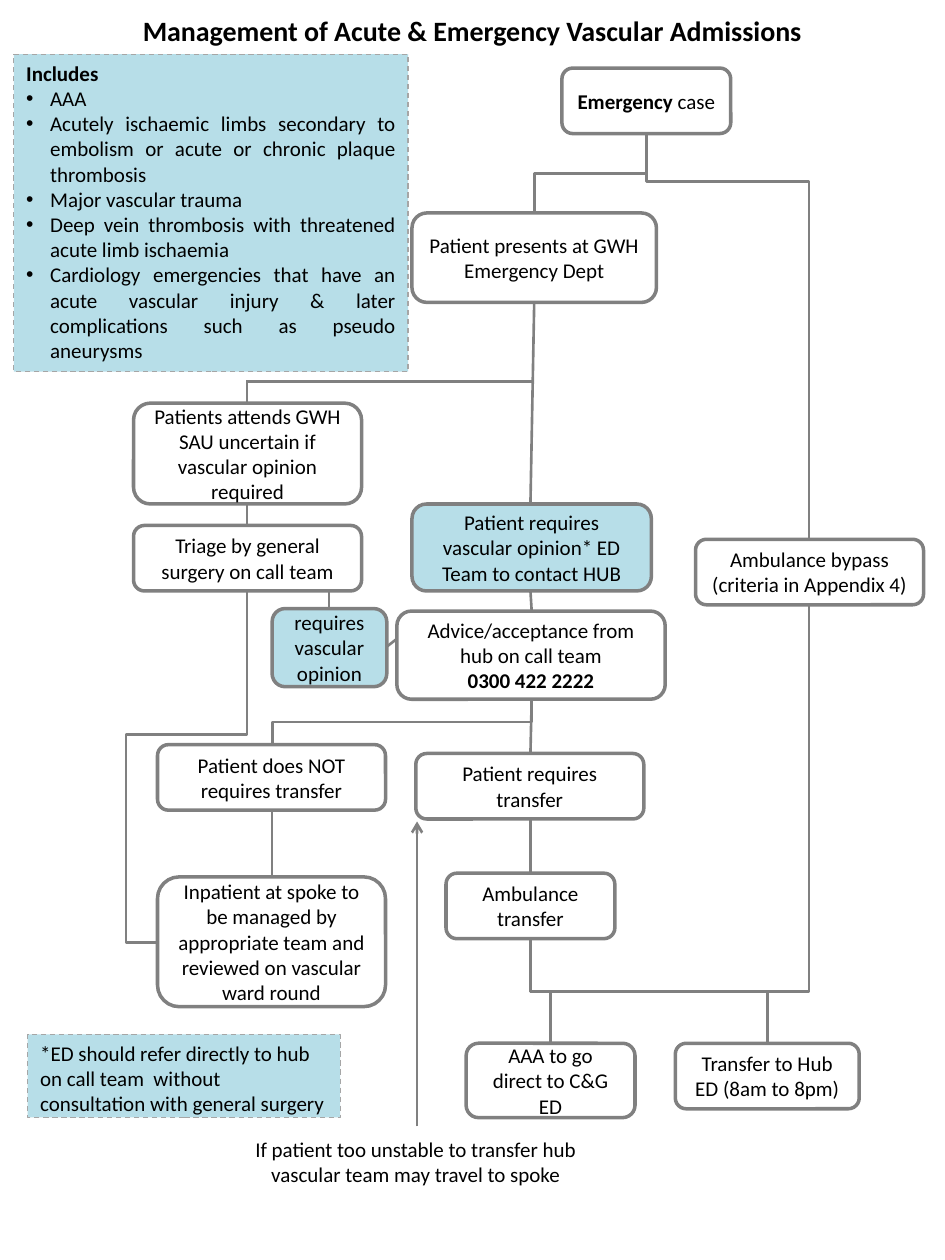
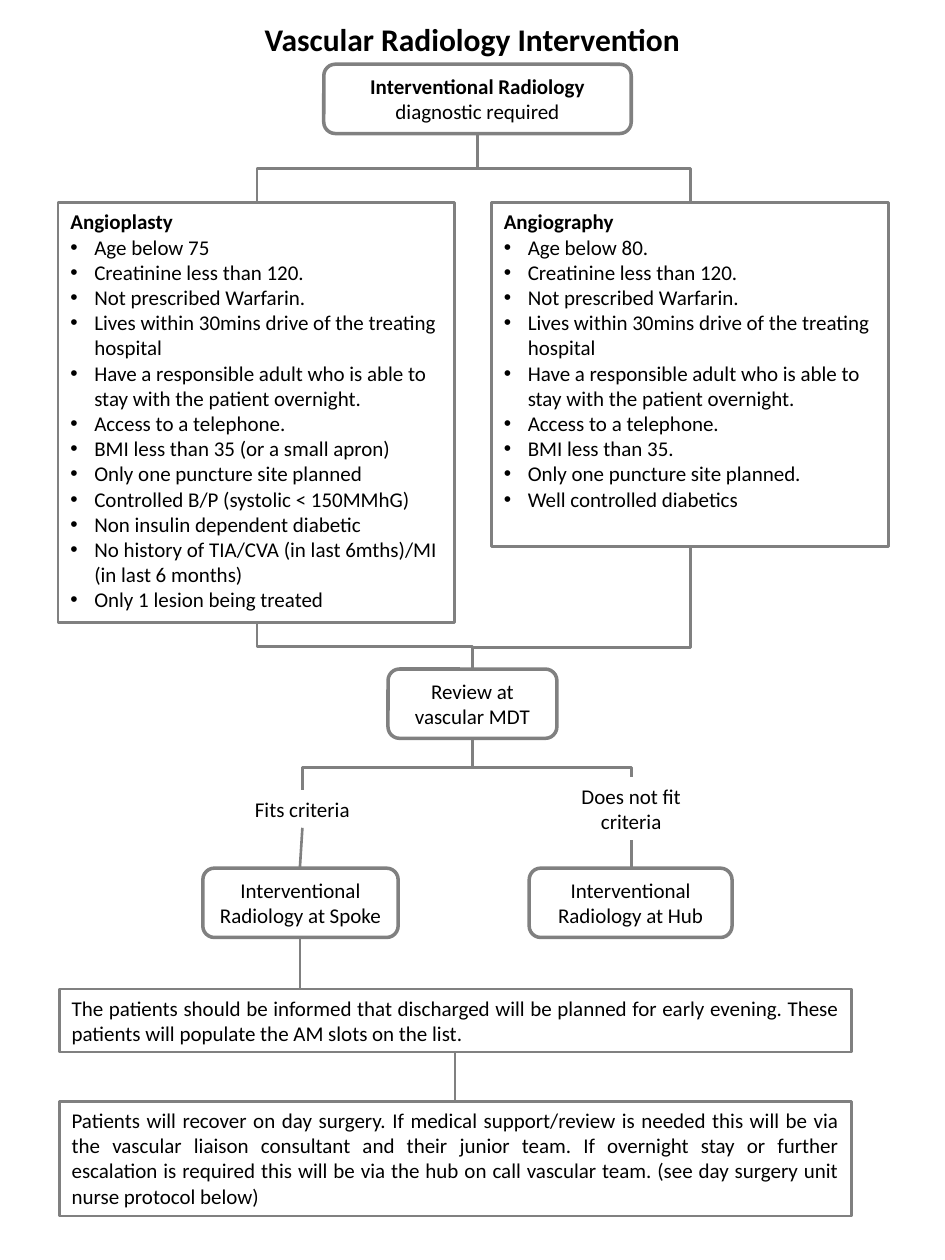
from pptx import Presentation
from pptx.dml.color import RGBColor
from pptx.enum.dml import MSO_LINE
from pptx.enum.shapes import MSO_CONNECTOR, MSO_SHAPE
from pptx.enum.text import MSO_ANCHOR, MSO_AUTO_SIZE, PP_ALIGN
from pptx.oxml.ns import qn
from pptx.util import Inches, Pt
from lxml.etree import SubElement

GREY, PALE, EDGE, BLACK = "808080", "B7DEE8", "A6A6A6", "000000"
LEFT, CENTER, JUSTIFY = PP_ALIGN.LEFT, PP_ALIGN.CENTER, PP_ALIGN.JUSTIFY


def color(value):
    return RGBColor.from_string(value)


class Flowchart:
    font = "Calibri"
    size = 12
    box_line = 2
    thin_line = 1.5

    def __init__(self, prs):
        self.prs = prs
        self.s = None

    def new_slide(self):
        self.s = self.prs.slides.add_slide(self.prs.slide_layouts[6])

    def put_text(self, sp, paragraphs, align, size=None, bullets=False, anchor=MSO_ANCHOR.TOP):
        tf = sp.text_frame
        tf.word_wrap = True
        tf.vertical_anchor = anchor
        for i, runs in enumerate(paragraphs):
            p = tf.paragraphs[0] if i == 0 else tf.add_paragraph()
            p.alignment = align
            if bullets and i:
                pPr = p._p.get_or_add_pPr()
                pPr.set("marL", str(Inches(0.19)))
                pPr.set("indent", str(-Inches(0.19)))
                SubElement(pPr, qn("a:buFont")).set("typeface", "Arial")
                SubElement(pPr, qn("a:buChar")).set("char", "•")
            for text, bold in runs:
                r = p.add_run()
                r.text = text
                r.font.name = self.font
                r.font.size = Pt(size or self.size)
                r.font.bold = bold
                r.font.color.rgb = color(BLACK)

    def shape(self, kind, x, y, w, h, fill, line, width):
        sp = self.s.shapes.add_shape(kind, Inches(x), Inches(y), Inches(w), Inches(h))
        sp.shadow.inherit = False
        if fill:
            sp.fill.solid()
            sp.fill.fore_color.rgb = color(fill)
        else:
            sp.fill.background()
        sp.line.color.rgb = color(line)
        sp.line.width = Pt(width)
        return sp

    def step(self, x, y, w, h, *runs, fill=None, extra=None):
        sp = self.shape(MSO_SHAPE.ROUNDED_RECTANGLE, x, y, w, h, fill, GREY, self.box_line)
        paragraphs = [[r if isinstance(r, tuple) else (r, False) for r in runs]]
        if extra:
            paragraphs.append([(extra, True)])
        self.put_text(sp, paragraphs, CENTER, anchor=MSO_ANCHOR.MIDDLE)

    def panel(self, x, y, w, h, text, align=LEFT, heading=None, shaded=False):
        if shaded:
            sp = self.shape(MSO_SHAPE.RECTANGLE, x, y, w, h, PALE, EDGE, 0.75)
            sp.line.dash_style = MSO_LINE.DASH
        else:
            sp = self.shape(MSO_SHAPE.RECTANGLE, x, y, w, h, None, GREY, self.thin_line)
        paragraphs = [[(t, False)] for t in text]
        if heading:
            paragraphs.insert(0, [(heading, True)])
        self.put_text(sp, paragraphs, align, bullets=bool(heading))

    def label(self, x, y, w, h, text, size=None, bold=False):
        sp = self.s.shapes.add_textbox(Inches(x), Inches(y), Inches(w), Inches(h))
        self.put_text(sp, [[(text, bold)]], CENTER, size)
        sp.text_frame.auto_size = MSO_AUTO_SIZE.SHAPE_TO_FIT_TEXT

    def title(self, x, y, w, h, text, size):
        self.label(x, y, w, h, text, size, True)

    def connector(self, kind, x1, y1, x2, y2):
        c = self.s.shapes.add_connector(kind, Inches(x1), Inches(y1), Inches(x2), Inches(y2))
        c.line.color.rgb = color(GREY)
        c.line.width = Pt(self.thin_line)
        SubElement(c._element.spPr, qn("a:effectLst"))
        return c

    def line(self, x1, y1, x2, y2, arrow=False):
        c = self.connector(MSO_CONNECTOR.STRAIGHT, x1, y1, x2, y2)
        if arrow:
            ln = c._element.spPr.find(qn("a:ln"))
            SubElement(ln, qn("a:tailEnd")).set("type", "arrow")

    def elbow(self, x1, y1, x2, y2, bend, side=None):
        cx, cy = (x1 + x2) / 2, (y1 + y2) / 2
        drop, across = y2 - y1, abs(x2 - x1)
        half = drop / 2 if x2 > x1 else -drop / 2
        c = self.connector(MSO_CONNECTOR.ELBOW, cx + half, cy - across / 2,
                           cx - half, cy + across / 2)
        spPr = c._element.spPr
        spPr.find(qn("a:xfrm")).set("rot", "16200000" if x2 > x1 else "5400000")
        geom = spPr.find(qn("a:prstGeom"))
        ratios = [(bend - y1) / drop]
        if side is not None:
            geom.set("prst", "bentConnector4")
            ratios.append((x1 - side) / across)
        guides = geom.find(qn("a:avLst"))
        for i, ratio in enumerate(ratios, 1):
            gd = SubElement(guides, qn("a:gd"))
            gd.set("name", f"adj{i}")
            gd.set("fmla", f"val {round(ratio * 100000)}")


prs = Presentation()
prs.slide_width, prs.slide_height = Inches(7.5), Inches(10)
chart = Flowchart(prs)

chart.new_slide()
chart.title(0, 0.06, 7.5, 0.37, "Management of Acute & Emergency Vascular Admissions", 16)

for route in [
    (5.13, 1.06, 6.42, 4.28, 1.44),
    (5.13, 1.06, 4.24, 1.69, 1.38),
    (6.42, 4.8, 6.09, 8.28, 7.87),
    (4.21, 7.45, 4.37, 8.28, 7.87),
    (4.21, 7.45, 6.09, 8.28, 7.87),
    (4.22, 5.55, 2.16, 5.91, 5.73),
    (1.96, 4.69, 1.25, 7.48, 5.83, 1),
]:
    chart.elbow(*route)
for ends in [
    (4.21, 4, 4.24, 2.4),
    (4.21, 6.93, 4.21, 6.5),
    (4.22, 4.85, 4.21, 4.69),
    (4.21, 5.98, 4.22, 5.55),
    (2.16, 6.96, 2.16, 6.43),
    (1.96, 4.17, 1.96, 4),
    (4.22, 3.03, 1.95, 3.03),
    (1.96, 3.03, 1.96, 3.2),
    (2.61, 4.69, 2.61, 4.83),
    (3.06, 5.14, 3.15, 5.07),
]:
    chart.line(*ends)
chart.line(3.31, 8.94, 3.31, 6.52, arrow=True)

for x, y, w, h, text in [
    (3.27, 1.69, 1.94, 0.71, "Patient presents at GWH Emergency Dept"),
    (5.52, 4.28, 1.81, 0.52, "Ambulance bypass (criteria in Appendix 4)"),
    (5.36, 8.28, 1.46, 0.52, "Transfer to Hub ED (8am to 8pm)"),
    (3.7, 8.28, 1.34, 0.59, "AAA to go direct to C&G ED"),
    (3.54, 6.93, 1.34, 0.52, "Ambulance transfer"),
    (1.25, 6.96, 1.81, 1.03, "Inpatient at spoke to be managed by appropriate team "
                             "and reviewed on vascular ward round"),
    (1.06, 3.2, 1.81, 0.8, "Patients attends GWH SAU uncertain if vascular opinion required"),
    (3.3, 5.98, 1.81, 0.52, "Patient requires transfer"),
    (1.25, 5.91, 1.81, 0.52, "Patient does NOT requires transfer"),
    (1.06, 4.17, 1.81, 0.52, "Triage by general surgery on call team"),
]:
    chart.step(x, y, w, h, text)
chart.step(4.46, 0.54, 1.34, 0.52, ("Emergency ", True), "case")
chart.step(3.15, 4.85, 2.13, 0.7, "Advice/acceptance from hub on call team",
           extra="0300 422 2222")
chart.step(3.27, 4, 1.9, 0.69, "Patient requires vascular opinion* ED Team to contact HUB",
           fill=PALE)
chart.step(2.16, 4.83, 0.91, 0.62, "requires vascular opinion", fill=PALE)

chart.panel(0.11, 0.43, 3.13, 2.52, [
    "AAA",
    "Acutely ischaemic limbs secondary to embolism or acute or chronic plaque thrombosis",
    "Major vascular trauma",
    "Deep vein thrombosis with threatened acute limb ischaemia",
    "Cardiology emergencies that have an acute vascular injury & later complications "
    "such as pseudo aneurysms",
], JUSTIFY, "Includes", shaded=True)
chart.panel(0.22, 8.21, 2.48, 0.66, [
    "*ED should refer directly to hub on call team  without consultation with general surgery",
], shaded=True)
chart.label(1.8, 8.97, 3, 0.47,
            "If patient too unstable to transfer hub vascular team may travel to spoke")

chart.new_slide()
chart.title(2, 0.11, 3.5, 0.4, "Vascular Radiology Intervention", 18)

for route in [
    (3.79, 1.06, 5.48, 1.61, 1.34),
    (3.79, 1.06, 2.04, 1.61, 1.34),
    (2.04, 4.95, 3.75, 5.31, 5.13),
    (5.48, 4.34, 3.75, 5.31, 5.14),
    (3.75, 5.86, 2.4, 6.27, 6.09),
    (3.75, 5.86, 5.01, 6.17, 6.09),
]:
    chart.elbow(*route)
for ends in [
    (5.01, 6.67, 5.01, 6.89),
    (2.4, 6.57, 2.38, 6.89),
    (2.38, 7.44, 2.38, 7.86),
    (3.61, 8.36, 3.61, 8.74),
]:
    chart.line(*ends)

chart.step(2.57, 0.51, 2.44, 0.55, ("Interventional Radiology ", True), "diagnostic required")
chart.step(3.08, 5.31, 1.34, 0.55, "Review at vascular MDT")
chart.step(1.61, 6.89, 1.55, 0.55, "Interventional Radiology at Spoke")
chart.step(4.2, 6.89, 1.61, 0.55, "Interventional Radiology at Hub")
chart.label(1.85, 6.27, 1.1, 0.3, "Fits criteria")
chart.label(4.46, 6.17, 1.1, 0.5, "Does not fit criteria")

shared = [
    "Creatinine less than 120.",
    "Not prescribed Warfarin.",
    "Lives within 30mins drive of the treating hospital",
    "Have a responsible adult who is able to stay with the patient overnight.",
    "Access to a telephone.",
]
chart.panel(0.46, 1.61, 3.15, 3.33, ["Age below 75", *shared,
    "BMI less than 35 (or a small apron)",
    "Only one puncture site planned",
    "Controlled B/P (systolic < 150MMhG)",
    "Non insulin dependent diabetic",
    "No history of TIA/CVA (in last 6mths)/MI (in last 6 months)",
    "Only 1 lesion being treated",
], heading="Angioplasty")
chart.panel(3.9, 1.61, 3.15, 2.73, ["Age below 80.", *shared,
    "BMI less than 35.",
    "Only one puncture site planned.",
    "Well controlled diabetics",
], heading="Angiography")
chart.panel(0.47, 7.85, 6.29, 0.5, [
    "The patients should be informed that discharged will be planned for early evening. "
    "These patients will populate the AM slots on the list.",
], JUSTIFY)
chart.panel(0.47, 8.74, 6.29, 0.91, [
    "Patients will recover on day surgery. If medical support/review is needed this will be "
    "via the vascular liaison consultant and their junior team. If overnight stay or further "
    "escalation is required this will be via the hub on call vascular team. "
    "(see day surgery unit nurse protocol below)",
], JUSTIFY)

prs.save("out.pptx")
